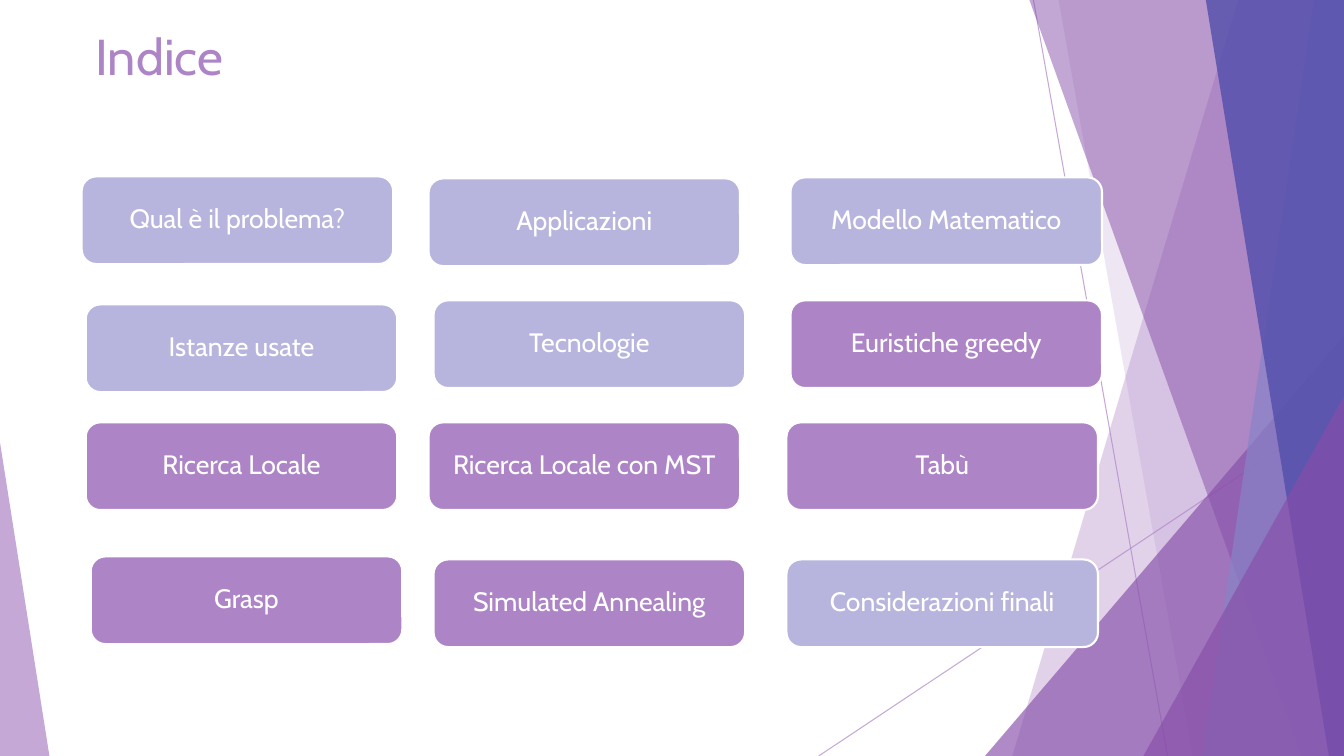
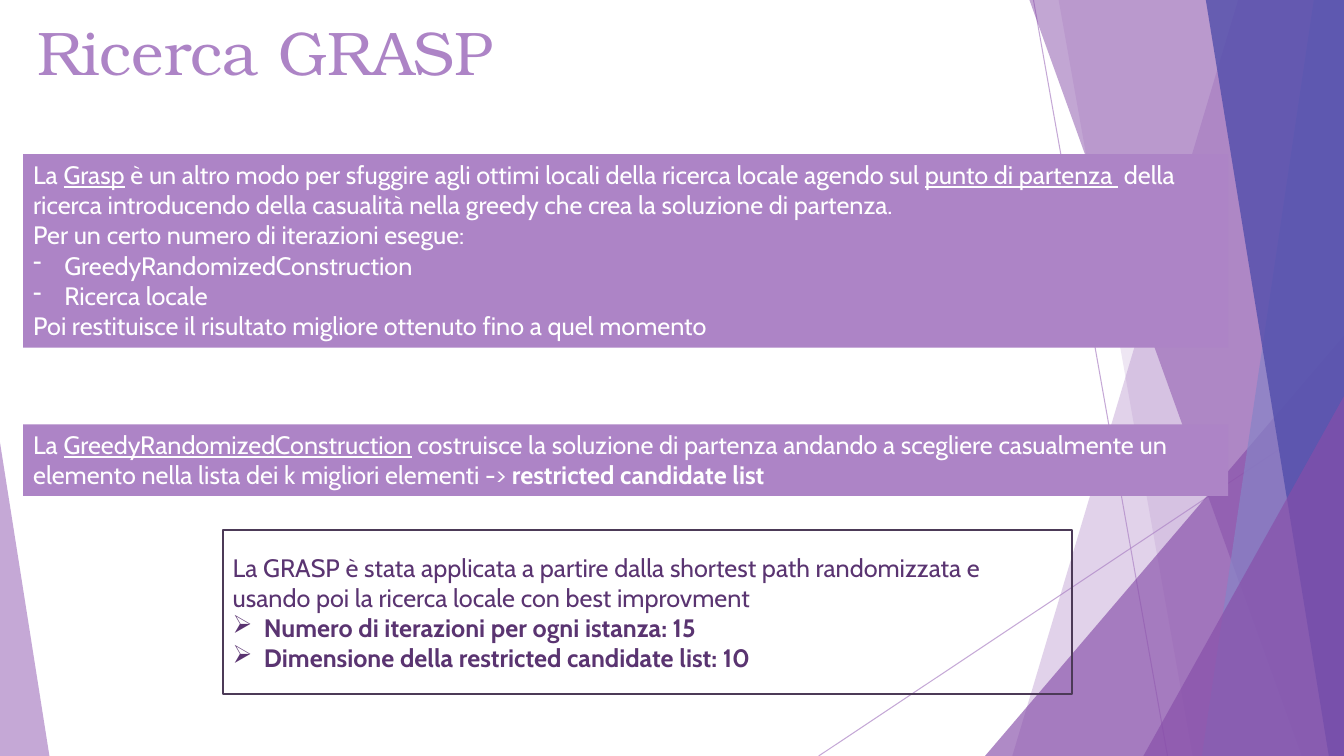
from lxml import etree
from pptx import Presentation
from pptx.dml.color import RGBColor
from pptx.enum import shapes, text
from pptx.oxml.ns import qn
from pptx.util import Inches, Pt

# Shared look
LILAC = RGBColor(0xAD, 0x84, 0xC6)
LAVENDER = RGBColor(0xB7, 0xB5, 0xDD)
PURPLE = RGBColor(0x87, 0x4E, 0xA9)
PERIWINKLE = RGBColor(0x87, 0x84, 0xC7)
INDIGO = RGBColor(0x52, 0x4E, 0xAB)
DARK_TEXT = RGBColor(0x5A, 0x34, 0x71)
DARK_LINE = RGBColor(0x4C, 0x3A, 0x57)
WHITE = RGBColor(0xFF, 0xFF, 0xFF)
BODY_FONT, SERIF_FONT = "Cabin", "TeX Gyre Bonum"
WIDTH, HEIGHT = 13.33, 7.5
TRIANGLE = shapes.MSO_SHAPE.ISOSCELES_TRIANGLE

# Background: lines (from, to), bands (top left, top right, bottom right,
# bottom left) and triangles (box, apex), from back to front
RAYS = [(10.25, 0, 11.58, HEIGHT), (WIDTH, 4.03, 8.12, HEIGHT)]
FACETS = [
    ("band", (12.28, WIDTH, WIDTH, 10.04), LILAC, 36),
    ("band", (10.5, WIDTH, WIDTH, 11.83), LILAC, 20),
    ("triangle", (9.77, 3.33, 3.56, 4.17, 1), PURPLE, 66),
    ("band", (10.21, WIDTH, WIDTH, 12.91), PURPLE, 50),
    ("band", (13.03, WIDTH, WIDTH, 11.92), PERIWINKLE, 70),
    ("band", (11.96, WIDTH, WIDTH, 13.18), INDIGO, 80),
    ("triangle", (11.34, 3.93, 1.99, 3.57, 1), PURPLE, 66),
    ("triangle", (0, 4.39, 0.49, 3.11, 0), LILAC, 70),
]

# Index cards: label, left, top, colour
CARD_SIZE = (3.09, 0.87)
CARDS = [
    ("Applicazioni", 4.25, 1.77, LAVENDER),
    ("Qual è il problema?", 0.81, 1.75, LAVENDER),
    ("Modello Matematico", 7.84, 1.76, LAVENDER),
    ("Euristiche greedy", 7.84, 2.98, LILAC),
    ("Ricerca Locale", 0.85, 4.19, LILAC),
    ("Ricerca Locale con MST", 4.25, 4.19, LILAC),
    ("Tabù", 7.8, 4.19, LILAC),
    ("Grasp", 0.9, 5.52, LILAC),
    ("Simulated Annealing", 4.3, 5.55, LILAC),
    ("Considerazioni finali", 7.8, 5.55, LAVENDER),
    ("Istanze usate", 0.85, 3.02, LAVENDER),
    ("Tecnologie", 4.3, 2.98, LAVENDER),
]

# GRASP panels: each paragraph is (bullet, spans), each span (text, style)
INTRO = [
    (None, [("La ", ""), ("Grasp", "underline"),
            (" è un altro modo per sfuggire agli ottimi locali della ricerca "
             "locale agendo sul ", ""),
            ("punto di partenza ", "underline"),
            (" della ricerca introducendo della casualità nella greedy che "
             "crea la soluzione di partenza.", "")]),
    (None, [("Per un certo numero di iterazioni esegue:", "")]),
    ("-", [("GreedyRandomizedConstruction", "")]),
    ("-", [("Ricerca locale", "")]),
    (None, [("Poi restituisce il risultato migliore ottenuto fino a quel "
             "momento", "")]),
]
CONSTRUCTION = [
    (None, [("La ", ""), ("GreedyRandomizedConstruction", "underline"),
            (" costruisce la soluzione di partenza andando a scegliere "
             "casualmente un elemento nella lista dei k migliori elementi -> ",
             ""),
            ("restricted candidate list", "bold")]),
]
SETTINGS = [
    (None, [("La GRASP è stata applicata a partire dalla shortest path "
             "randomizzata e usando poi la ricerca locale con best "
             "improvment", "")]),
    ("➢", [("Numero di iterazioni per ogni istanza: 15", "bold")]),
    ("➢", [("Dimensione della restricted candidate list: 10", "bold")]),
]
# Box, paragraphs, fill, outline, text colour, anchor
PANELS = [
    ((0.23, 1.53, 11.95, 1.92), INTRO, LILAC, None, WHITE,
     text.MSO_ANCHOR.TOP),
    ((0.23, 4.21, 11.95, 0.71), CONSTRUCTION, LILAC, None, WHITE,
     text.MSO_ANCHOR.TOP),
    ((2.21, 5.26, 8.42, 1.63), SETTINGS, None, DARK_LINE, DARK_TEXT,
     text.MSO_ANCHOR.MIDDLE),
]


def inches(values):
    return [Inches(value) for value in values]


def set_opacity(element, percent):
    for colour in element.iter(qn("a:srgbClr")):
        etree.SubElement(colour, qn("a:alpha")).set("val", str(percent * 1000))


def paint(shape, fill, line=None):
    shape.shadow.inherit = False
    if fill is None:
        shape.fill.background()
    else:
        shape.fill.solid()
        shape.fill.fore_color.rgb = fill
    if line is None:
        shape.line.fill.background()
    else:
        shape.line.color.rgb = line
        shape.line.width = Pt(1.5)


def style(paragraph, size, colour, font=BODY_FONT):
    paragraph.font.name = font
    paragraph.font.size = Pt(size)
    paragraph.font.color.rgb = colour


def set_bullet(paragraph, mark):
    properties = paragraph._p.get_or_add_pPr()
    properties.set("marL", str(Inches(0.31)))
    properties.set("indent", str(-Inches(0.31)))
    bullet = etree.Element(qn("a:buChar"), char=mark)
    properties.insert(0, bullet)


def add_background(page):
    for ray in RAYS:
        line = page.shapes.add_connector(shapes.MSO_CONNECTOR.STRAIGHT,
                                         *inches(ray))
        line.line.color.rgb = LILAC
        line.line.width = Pt(0.75)
        properties = line._element.spPr
        set_opacity(properties, 70)
        etree.SubElement(properties, qn("a:effectLst"))
    for kind, geometry, colour, opacity in FACETS:
        if kind == "band":
            heights = (0, 0, HEIGHT, HEIGHT)
            corners = [inches(point) for point in zip(geometry, heights)]
            builder = page.shapes.build_freeform(*corners[0])
            builder.add_line_segments(corners[1:], close=True)
            facet = builder.convert_to_shape()
        else:
            *box, apex = geometry
            facet = page.shapes.add_shape(TRIANGLE, *inches(box))
            facet.adjustments[0] = apex
        paint(facet, colour)
        set_opacity(facet._element.spPr, opacity)


def add_page(deck, title, left, top, size, font):
    page = deck.slides.add_slide(deck.slide_layouts[6])
    add_background(page)
    box = page.shapes.add_textbox(*inches((left, top, 9.4, 1.44)))
    box.text_frame.word_wrap = True
    para = box.text_frame.paragraphs[0]
    para.text = title
    style(para, size, LILAC, font)
    return page


def add_card(page, label, left, top, colour):
    card = page.shapes.add_shape(shapes.MSO_SHAPE.ROUNDED_RECTANGLE,
                                 *inches((left, top, *CARD_SIZE)))
    paint(card, colour, WHITE)
    frame = card.text_frame
    frame.word_wrap = True
    frame.vertical_anchor = text.MSO_ANCHOR.MIDDLE
    para = frame.paragraphs[0]
    para.text = label
    para.alignment = text.PP_ALIGN.CENTER
    para.line_spacing = 0.9
    style(para, 19, WHITE)


def add_panel(page, box, paragraphs, fill, line, colour, anchor):
    panel = page.shapes.add_shape(shapes.MSO_SHAPE.RECTANGLE, *inches(box))
    paint(panel, fill, line)
    frame = panel.text_frame
    frame.word_wrap = True
    frame.vertical_anchor = anchor
    for index, (mark, spans) in enumerate(paragraphs):
        para = frame.add_paragraph() if index else frame.paragraphs[0]
        para.alignment = text.PP_ALIGN.LEFT
        style(para, 18, colour)
        if mark:
            set_bullet(para, mark)
        for words, emphasis in spans:
            span = para.add_run()
            span.text = words
            if emphasis:
                setattr(span.font, emphasis, True)


def main():
    deck = Presentation()
    deck.slide_width, deck.slide_height = inches((WIDTH, HEIGHT))

    # Index
    page = add_page(deck, "Indice", 0.85, 0.2, 36, BODY_FONT)
    for card in CARDS:
        add_card(page, *card)

    # GRASP search
    page = add_page(deck, "Ricerca GRASP", 0.27, 0.09, 44, SERIF_FONT)
    for panel in PANELS:
        add_panel(page, *panel)

    deck.save("out.pptx")


if __name__ == "__main__":
    main()
